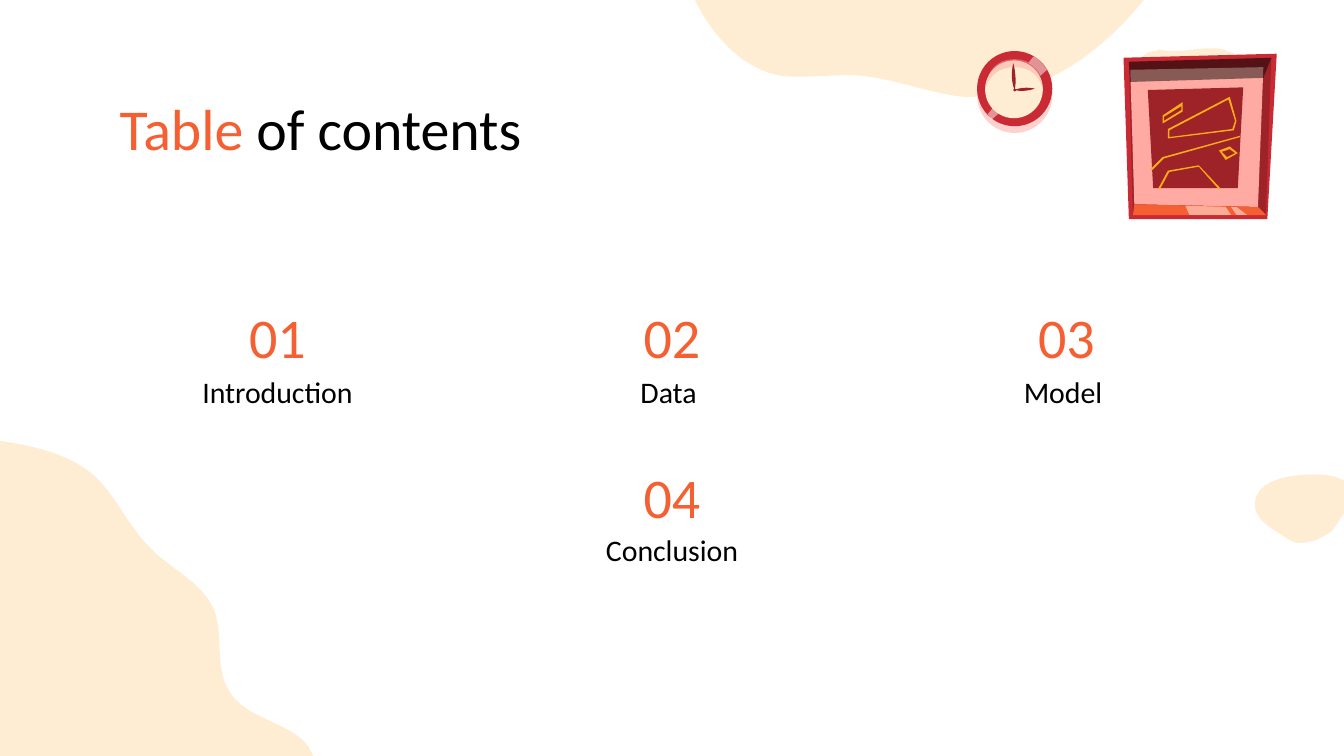
from lxml.etree import SubElement
from pptx import Presentation
from pptx.dml.color import RGBColor
from pptx.enum.shapes import MSO_SHAPE as Preset
from pptx.enum.text import MSO_ANCHOR as Anchor, MSO_AUTO_SIZE as AutoSize, PP_ALIGN as Align
from pptx.oxml.ns import qn
from pptx.util import Inches, Pt

ORANGE, BLACK, WHITE, CREAM = "F56033", "000000", "FFFFFF", "FFEDD3"
RED, DARK_RED, PINK, GOLD = "CA2A34", "9E2328", "FFABA4", "FFAC18"

SLIDE_WIDTH = 10
SLIDE_HEIGHT = SLIDE_WIDTH * 9 / 16

TITLE = [("Table", ORANGE), (" of contents", BLACK)]
TITLE_BOX = (0.79, 0.59, 8.43, 0.69)
# number, label, column, number top, label (top, width, height), vertical inset
SECTIONS = [
    ("01", "Introduction", 0, 2.15, (2.68, 2.56, 0.48), 0.1),
    ("02", "Data ", 1, 2.15, (2.68, 2.56, 0.48), 0.1),
    ("03", "Model ", 2, 2.15, (2.68, 2.56, 0.48), 0.1),
    ("04", "Conclusion", 1, 3.34, (3.91, 2.95, 0.37), 0.05),
]
NUMBER_WIDTH, NUMBER_HEIGHT = 1.14, 0.72
# The outer labels end flush with the title box.
COLUMN_STEP = (TITLE_BOX[2] - 2.56) / 2

# Each piece is (colour, opacity in percent, contours). A contour starts at its
# first point; pairs are straight lines and sextuples are Bezier curves.
# A circle is given as (left, top, diameter) instead of contours.
BLOBS = [
    (CREAM, 100, [[
        (0, 3.28), (0, SLIDE_HEIGHT), (2.33, SLIDE_HEIGHT),
        (2.24, 5.37, 1.85, 5.38, 1.71, 5.15),
        (1.59, 4.97, 1.67, 4.72, 1.59, 4.53), (1.5, 4.33, 1.28, 4.24, 1.13, 4.09),
        (0.96, 3.93, 0.87, 3.69, 0.69, 3.53), (0.5, 3.37, 0.25, 3.32, 0, 3.28)]]),
    (CREAM, 100, [[
        (8.51, 0), (5.17, 0), (5.3, 0.26, 5.51, 0.5, 5.79, 0.56),
        (5.85, 0.57, 5.9, 0.57, 5.96, 0.57), (6.07, 0.57, 6.19, 0.56, 6.3, 0.56),
        (6.35, 0.56), (6.62, 0.57, 6.89, 0.69, 7.16, 0.72),
        (7.25, 0.72), (7.74, 0.72, 8.2, 0.39, 8.51, 0)]]),
    (CREAM, 100, [[
        (9, 0.36), (8.91, 0.36, 8.83, 0.38, 8.74, 0.38), (8.71, 0.38),
        (8.68, 0.38, 8.65, 0.37, 8.62, 0.37), (8.6, 0.38),
        (8.53, 0.38, 8.48, 0.43, 8.46, 0.49), (8.43, 0.55, 8.43, 0.61, 8.43, 0.68),
        (8.43, 0.76, 8.43, 0.84, 8.46, 0.91), (8.49, 0.99, 8.55, 1.05, 8.62, 1.07),
        (8.64, 1.08, 8.66, 1.08, 8.68, 1.08), (8.74, 1.08, 8.79, 1.06, 8.84, 1.04),
        (8.91, 1.01, 8.98, 0.98, 9.06, 0.97), (9.08, 0.97),
        (9.12, 0.97, 9.16, 0.98, 9.19, 0.98), (9.23, 0.98, 9.26, 0.97, 9.29, 0.95),
        (9.34, 0.93, 9.36, 0.88, 9.38, 0.83), (9.41, 0.73, 9.39, 0.62, 9.33, 0.53),
        (9.27, 0.44, 9.17, 0.38, 9.06, 0.36)]]),
    (CREAM, 100, [[
        (9.78, 3.53), (9.63, 3.53, 9.31, 3.56, 9.34, 3.78),
        (9.35, 3.83, 9.38, 3.87, 9.42, 3.9), (9.46, 3.94, 9.51, 3.96, 9.55, 3.99),
        (9.58, 4.01, 9.61, 4.03, 9.65, 4.04), (9.68, 4.04),
        (9.72, 4.04, 9.75, 4.03, 9.79, 4.02), (9.83, 4, 9.87, 3.98, 9.9, 3.96),
        (9.94, 3.92, 9.97, 3.86, 10, 3.82), (10.02, 3.8, 10.04, 3.78, 10.06, 3.75),
        (10.09, 3.69, 10.05, 3.61, 9.99, 3.57), (9.93, 3.54, 9.86, 3.53, 9.79, 3.53)]]),
]
WALL_ART = [
    (RED, 100, [[(8.4, 1.63), (8.36, 0.43), (9.5, 0.4), (9.43, 1.63)]]),
    (DARK_RED, 100, [[(9.46, 0.43), (8.4, 0.46), (8.43, 1.6), (9.42, 1.6)]]),
    (PINK, 100, [[(8.44, 1.52), (9.36, 1.54), (9.4, 0.5), (8.41, 0.52)]]),
    (ORANGE, 100, [[(9.36, 1.54), (9.42, 1.6), (8.43, 1.6), (8.44, 1.52)]]),
    (BLACK, 47, [[(9.46, 0.43), (8.4, 0.46), (8.41, 0.61), (9.4, 0.58)]]),
    (DARK_RED, 100, [[(9.25, 0.65), (8.54, 0.67), (8.58, 1.4), (9.21, 1.4)]]),
    (GOLD, 100, [[(8.57, 1.27), (8.56, 1.26), (8.65, 1.17), (9.23, 1.01),
                  (9.23, 1.02), (8.66, 1.18)]]),
    (GOLD, 100, [[(8.69, 1.03), (8.69, 0.96), (9.15, 0.72), (9.2, 0.9), (9.18, 0.97)],
                 [(8.7, 0.97), (8.7, 1.02), (9.17, 0.96), (9.19, 0.9), (9.14, 0.74)]]),
    (GOLD, 100, [[(8.65, 0.92), (8.65, 0.86), (8.8, 0.76), (8.8, 0.83)],
                 [(8.66, 0.87), (8.66, 0.9), (8.79, 0.82), (8.79, 0.79)]]),
    (GOLD, 100, [[(9.07, 1.41), (8.92, 1.24), (8.7, 1.28), (8.63, 1.41), (8.62, 1.4),
                  (8.69, 1.27), (8.92, 1.23), (9.08, 1.4)]]),
    (GOLD, 100, [[(9.12, 1.19), (9.07, 1.12), (9.15, 1.09), (9.21, 1.14)],
                 [(9.09, 1.13), (9.13, 1.17), (9.19, 1.14), (9.15, 1.11)]]),
    (WHITE, 49, [[(8.82, 1.53), (8.85, 1.6), (9.16, 1.6), (9.12, 1.54)]]),
    (WHITE, 49, [[(9.16, 1.54), (9.2, 1.6), (9.28, 1.6), (9.2, 1.54)]]),
]
CLOCK = [
    (PINK, 54, (7.27, 0.43, 0.56)),
    (RED, 100, (7.27, 0.38, 0.56)),
    (WHITE, 49, [[(7.69, 0.42), (7.35, 0.85), (7.38, 0.89), (7.79, 0.52),
                  (7.79, 0.52, 7.74, 0.44, 7.69, 0.42)]]),
    (DARK_RED, 100, (7.33, 0.44, 0.43)),
    (CREAM, 100, (7.33, 0.45, 0.43)),
    (DARK_RED, 100, (7.54, 0.66, 0.02)),
    (PINK, 54, [[(7.55, 0.44), (7.33, 0.44, 7.33, 0.67, 7.33, 0.67),
                 (7.33, 0.67, 7.36, 0.5, 7.55, 0.5), (7.74, 0.5, 7.76, 0.67, 7.76, 0.67),
                 (7.76, 0.67, 7.76, 0.44, 7.55, 0.44)]]),
    (DARK_RED, 100, [[(7.55, 0.67), (7.55, 0.67, 7.51, 0.59, 7.54, 0.47),
                      (7.54, 0.47, 7.57, 0.58, 7.55, 0.67)]]),
    (DARK_RED, 100, [[(7.55, 0.67), (7.55, 0.67, 7.61, 0.64, 7.7, 0.66),
                      (7.7, 0.66, 7.62, 0.69, 7.55, 0.67)]]),
]
CURVE_STEPS = 12


def color(value):
    return RGBColor.from_string(value)


def flatten(contour):
    """Return the contour as points in EMU, with its curves sampled."""
    points = [contour[0]]
    for segment in contour[1:]:
        if len(segment) == 2:
            points.append(segment)
            continue
        controls = [points[-1], segment[:2], segment[2:4], segment[4:]]
        for step in range(1, CURVE_STEPS + 1):
            t = step / CURVE_STEPS
            weights = ((1 - t) ** 3, 3 * t * (1 - t) ** 2, 3 * t * t * (1 - t), t ** 3)
            points.append(tuple(sum(w * point[axis] for w, point in zip(weights, controls))
                                for axis in (0, 1)))
    return [(Inches(x), Inches(y)) for x, y in points]


def draw(shapes, pieces):
    for fill, opacity, outline in pieces:
        if isinstance(outline, tuple):
            left, top, size = map(Inches, outline)
            shape = shapes.add_shape(Preset.OVAL, left, top, size, size)
        else:
            first, *others = map(flatten, outline)
            builder = shapes.build_freeform(*first[0])
            builder.add_line_segments(first[1:])
            for points in others:
                builder.move_to(*points[0])
                builder.add_line_segments(points[1:])
            shape = builder.convert_to_shape()
        shape.shadow.inherit = False
        shape.line.fill.background()
        shape.fill.solid()
        shape.fill.fore_color.rgb = color(fill)
        if opacity < 100:
            rgb = shape.element.spPr.find(".//" + qn("a:srgbClr"))
            SubElement(rgb, qn("a:alpha")).set("val", str(opacity * 1000))


def write(shape, runs, size, align=Align.CENTER, inset=0.1):
    frame = shape.text_frame
    frame.word_wrap = True
    frame.auto_size = AutoSize.NONE
    frame.vertical_anchor = Anchor.TOP
    frame.margin_left = frame.margin_right = Inches(0.1)
    frame.margin_top = frame.margin_bottom = Inches(inset)
    paragraph = frame.paragraphs[0]
    paragraph.alignment = align
    for text, fill in runs:
        run = paragraph.add_run()
        run.text = text
        run.font.name = "Calibri"
        run.font.size = Pt(size)
        run.font.color.rgb = color(fill)


def add_text(slide, center, top, width, height, runs, size, **style):
    box = slide.shapes.add_textbox(Inches(center - width / 2), Inches(top),
                                   Inches(width), Inches(height))
    write(box, runs, size, **style)


presentation = Presentation()
presentation.slide_width, presentation.slide_height = Inches(SLIDE_WIDTH), Inches(SLIDE_HEIGHT)
slide = presentation.slides.add_slide(presentation.slide_layouts[5])

draw(slide.shapes, BLOBS)
title = slide.shapes.title
title.left, title.top, title.width, title.height = map(Inches, TITLE_BOX)
write(title, TITLE, 31, align=Align.LEFT)

for pieces in (WALL_ART, CLOCK):
    draw(slide.shapes.add_group_shape().shapes, pieces)

for number, label, column, number_top, (label_top, width, height), inset in SECTIONS:
    center = SLIDE_WIDTH / 2 + (column - 1) * COLUMN_STEP
    add_text(slide, center, number_top, NUMBER_WIDTH, NUMBER_HEIGHT, [(number, ORANGE)], 30)
    add_text(slide, center, label_top, width, height, [(label, BLACK)], 16, inset=inset)

presentation.save("out.pptx")
